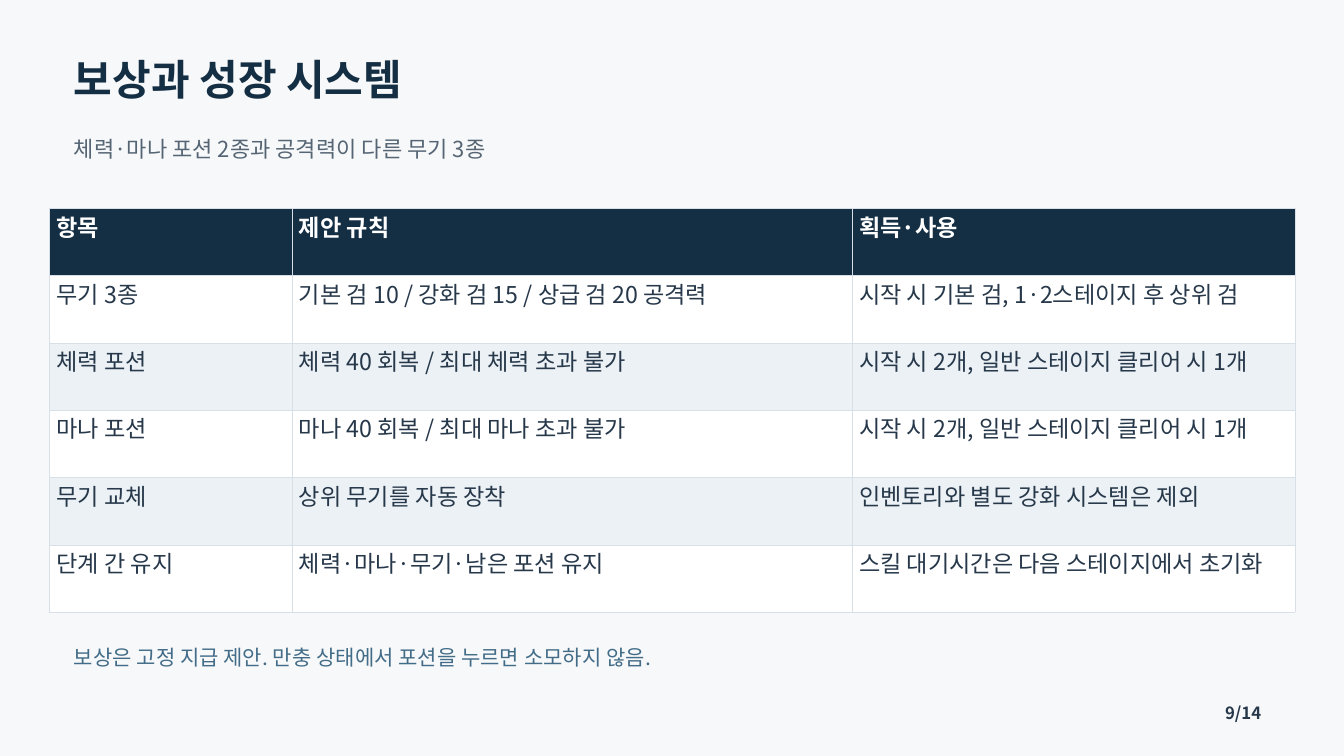
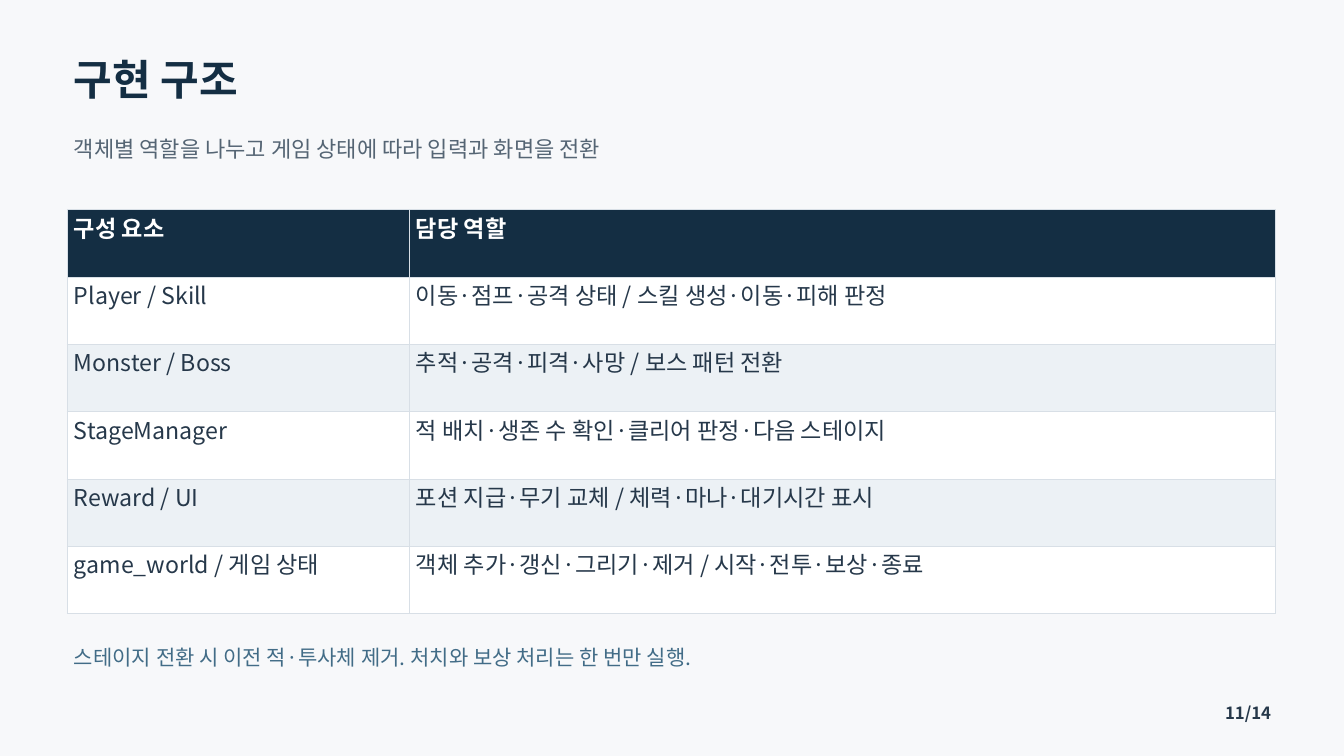
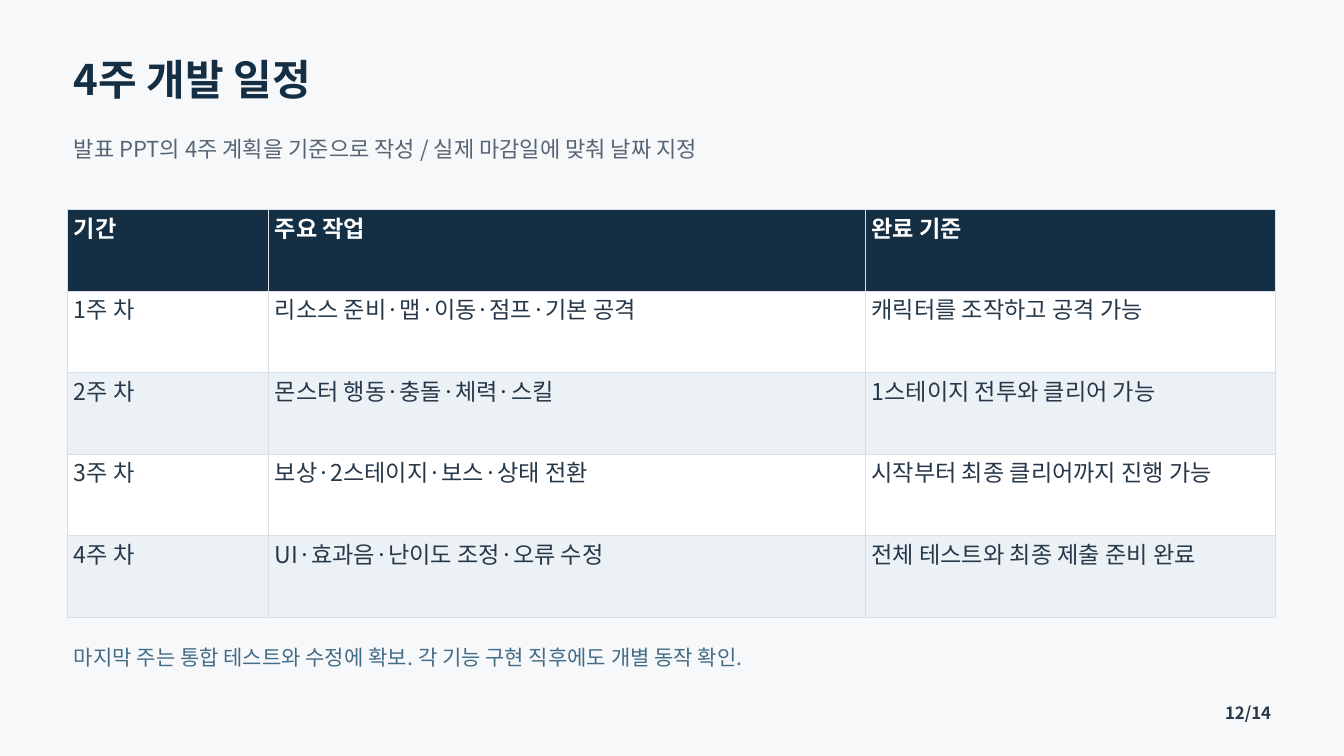
from collections import namedtuple

from pptx import Presentation
from pptx.dml.color import RGBColor
from pptx.enum.text import MSO_AUTO_SIZE as AutoSize
from pptx.oxml import parse_xml
from pptx.oxml.ns import nsdecls, qn
from pptx.util import Inches, Pt

SLIDE_WIDTH, SLIDE_HEIGHT = Inches(20), Inches(11.25)
FONT = "Noto Sans CJK KR"
BACKGROUND, NAVY, INK, WHITE = "F7F8FA", "142E43", "26384A", "FFFFFF"
GRAY, BLUE, STRIPE, GRID = "556574", "426C87", "ECF1F5", "D8DFE6"

Box = namedtuple("Box", "left top width height")  # percent of the slide
Style = namedtuple("Style", "size line_spacing color bold")

TITLE_BOX = Box(5.5, 7.02, 88.85, 8.27)
SUBTITLE_BOX = Box(5.5, 17.96, 88.85, 6.67)
NOTE_BOX = Box(5.5, 85.24, 89, 5.33)
PAGE_BOX = Box(91.15, 92.89, 3.7, 2.67)

TITLE = Style(45, 54, NAVY, True)
SUBTITLE = Style(23.6, 28.4, GRAY, False)
NOTE = Style(22.5, 27, BLUE, False)
PAGE = Style(18, 21.6, INK, True)
HEADER = Style(24.8, 29.7, WHITE, True)
BODY = HEADER._replace(color=INK, bold=False)

SLIDES = [
    dict(
        title="보상과 성장 시스템",
        subtitle="체력·마나 포션 2종과 공격력이 다른 무기 3종",
        page="9/14",
        note="보상은 고정 지급 제안. 만충 상태에서 포션을 누르면 소모하지 않음.",
        table_box=Box(3.7, 27.56, 92.65, 53.42),
        column_weights=(3.61, 8.34, 6.59),
        rows=[
            ("항목", "제안 규칙", "획득·사용"),
            ("무기 3종", "기본 검 10 / 강화 검 15 / 상급 검 20 공격력",
             "시작 시 기본 검, 1·2스테이지 후 상위 검"),
            ("체력 포션", "체력 40 회복 / 최대 체력 초과 불가",
             "시작 시 2개, 일반 스테이지 클리어 시 1개"),
            ("마나 포션", "마나 40 회복 / 최대 마나 초과 불가",
             "시작 시 2개, 일반 스테이지 클리어 시 1개"),
            ("무기 교체", "상위 무기를 자동 장착", "인벤토리와 별도 강화 시스템은 제외"),
            ("단계 간 유지", "체력·마나·무기·남은 포션 유지",
             "스킬 대기시간은 다음 스테이지에서 초기화"),
        ],
    ),
    dict(
        title="구현 구조",
        subtitle="객체별 역할을 나누고 게임 상태에 따라 입력과 화면을 전환",
        page="11/14",
        note="스테이지 전환 시 이전 적·투사체 제거. 처치와 보상 처리는 한 번만 실행.",
        table_box=Box(5, 27.73, 89.9, 53.42),
        column_weights=(5.09, 12.89),
        rows=[
            ("구성 요소", "담당 역할"),
            ("Player / Skill", "이동·점프·공격 상태 / 스킬 생성·이동·피해 판정"),
            ("Monster / Boss", "추적·공격·피격·사망 / 보스 패턴 전환"),
            ("StageManager", "적 배치·생존 수 확인·클리어 판정·다음 스테이지"),
            ("Reward / UI", "포션 지급·무기 교체 / 체력·마나·대기시간 표시"),
            ("game_world / 게임 상태", "객체 추가·갱신·그리기·제거 / 시작·전투·보상·종료"),
        ],
    ),
    dict(
        title="4주 개발 일정",
        subtitle="발표 PPT의 4주 계획을 기준으로 작성 / 실제 마감일에 맞춰 날짜 지정",
        page="12/14",
        note="마지막 주는 통합 테스트와 수정에 확보. 각 기능 구현 직후에도 개별 동작 확인.",
        table_box=Box(5, 27.73, 89.9, 53.87),
        column_weights=(2.99, 8.88, 6.11),
        rows=[
            ("기간", "주요 작업", "완료 기준"),
            ("1주 차", "리소스 준비·맵·이동·점프·기본 공격", "캐릭터를 조작하고 공격 가능"),
            ("2주 차", "몬스터 행동·충돌·체력·스킬", "1스테이지 전투와 클리어 가능"),
            ("3주 차", "보상·2스테이지·보스·상태 전환", "시작부터 최종 클리어까지 진행 가능"),
            ("4주 차", "UI·효과음·난이도 조정·오류 수정", "전체 테스트와 최종 제출 준비 완료"),
        ],
    ),
]


def paint(fill, color):
    fill.solid()
    fill.fore_color.rgb = RGBColor.from_string(color)


def place(box):
    """Turn a box in percent into slide lengths."""
    return (int(SLIDE_WIDTH * box.left / 100), int(SLIDE_HEIGHT * box.top / 100),
            int(SLIDE_WIDTH * box.width / 100), int(SLIDE_HEIGHT * box.height / 100))


def write(frame, text, style):
    paragraph = frame.paragraphs[0]
    paragraph.text = text
    paragraph.line_spacing = Pt(style.line_spacing)
    font = paragraph.font
    font.name, font.size, font.bold = FONT, Pt(style.size), style.bold
    paint(font.fill, style.color)
    latin = paragraph._p.pPr.find(qn("a:defRPr")).find(qn("a:latin"))
    latin.addnext(parse_xml(f'<a:ea {nsdecls("a")} typeface="{FONT}"/>'))


def add_text(slide, box, text, style):
    frame = slide.shapes.add_textbox(*place(box)).text_frame
    frame.margin_left = frame.margin_top = frame.margin_right = frame.margin_bottom = 0
    frame.word_wrap = True
    frame.auto_size = AutoSize.SHAPE_TO_FIT_TEXT
    write(frame, text, style)


def format_cell(cell, color):
    cell.margin_left = cell.margin_top = cell.margin_right = cell.margin_bottom = Inches(0.1)
    properties = cell._tc.get_or_add_tcPr()
    for side in "LRTB":
        properties.append(parse_xml(
            f'<a:ln{side} {nsdecls("a")} w="{Pt(0.75)}"><a:solidFill>'
            f'<a:srgbClr val="{GRID}"/></a:solidFill></a:ln{side}>'))
    paint(cell.fill, color)


def add_grid(slide, box, column_weights, rows):
    left, top, width, height = place(box)
    table = slide.shapes.add_table(
        len(rows), len(column_weights), left, top, width, height).table
    table.first_row = table.horz_banding = False
    for column, weight in zip(table.columns, column_weights):
        column.width = int(width * weight / sum(column_weights))
    for row_index, texts in enumerate(rows):
        table.rows[row_index].height = height // len(rows)
        color = NAVY if row_index == 0 else (STRIPE, WHITE)[row_index % 2]
        for column_index, text in enumerate(texts):
            cell = table.cell(row_index, column_index)
            format_cell(cell, color)
            write(cell.text_frame, text, BODY if row_index else HEADER)


def add_table_slide(presentation, title, subtitle, page, note,
                    table_box, column_weights, rows):
    slide = presentation.slides.add_slide(presentation.slide_layouts[6])
    paint(slide.background.fill, BACKGROUND)
    add_text(slide, TITLE_BOX, title, TITLE)
    add_text(slide, SUBTITLE_BOX, subtitle, SUBTITLE)
    add_text(slide, PAGE_BOX, page, PAGE)
    add_grid(slide, table_box, column_weights, rows)
    add_text(slide, NOTE_BOX, note, NOTE)


def main():
    presentation = Presentation()
    presentation.slide_width, presentation.slide_height = SLIDE_WIDTH, SLIDE_HEIGHT
    for content in SLIDES:
        add_table_slide(presentation, **content)
    presentation.save("out.pptx")


if __name__ == "__main__":
    main()
